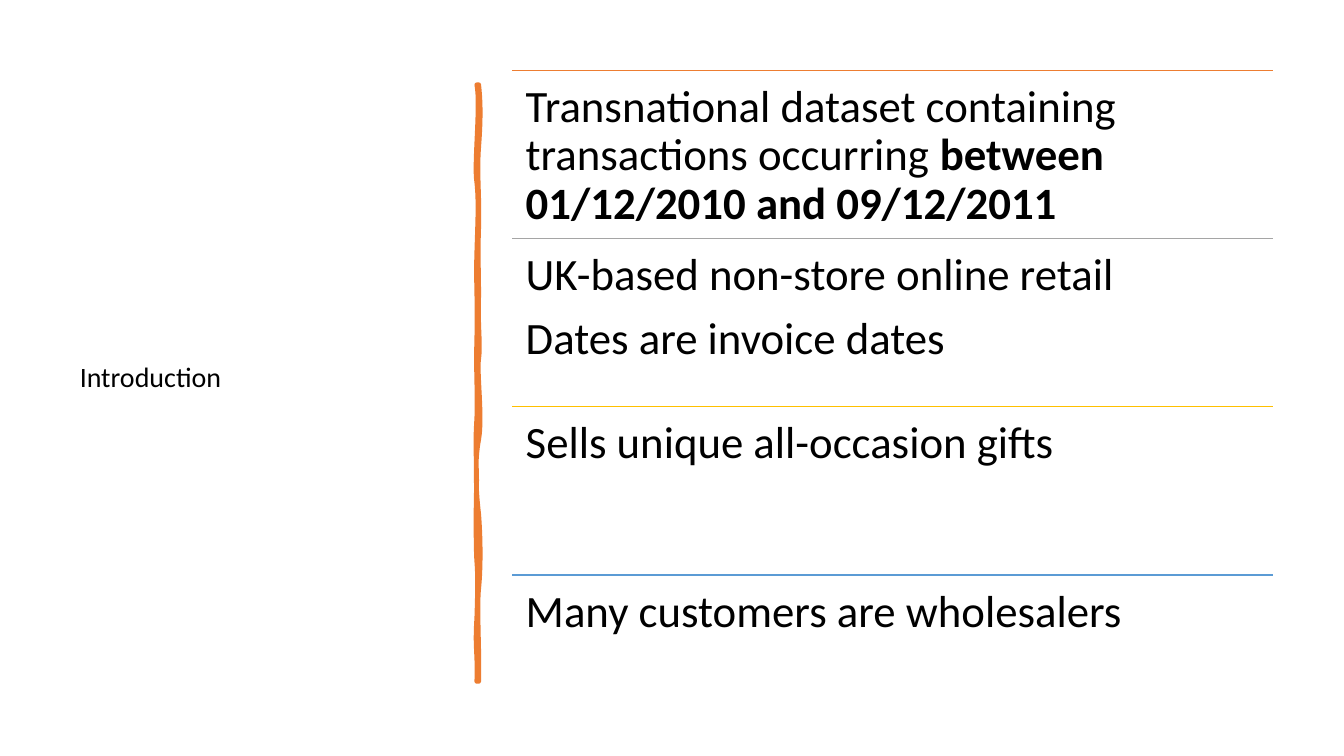
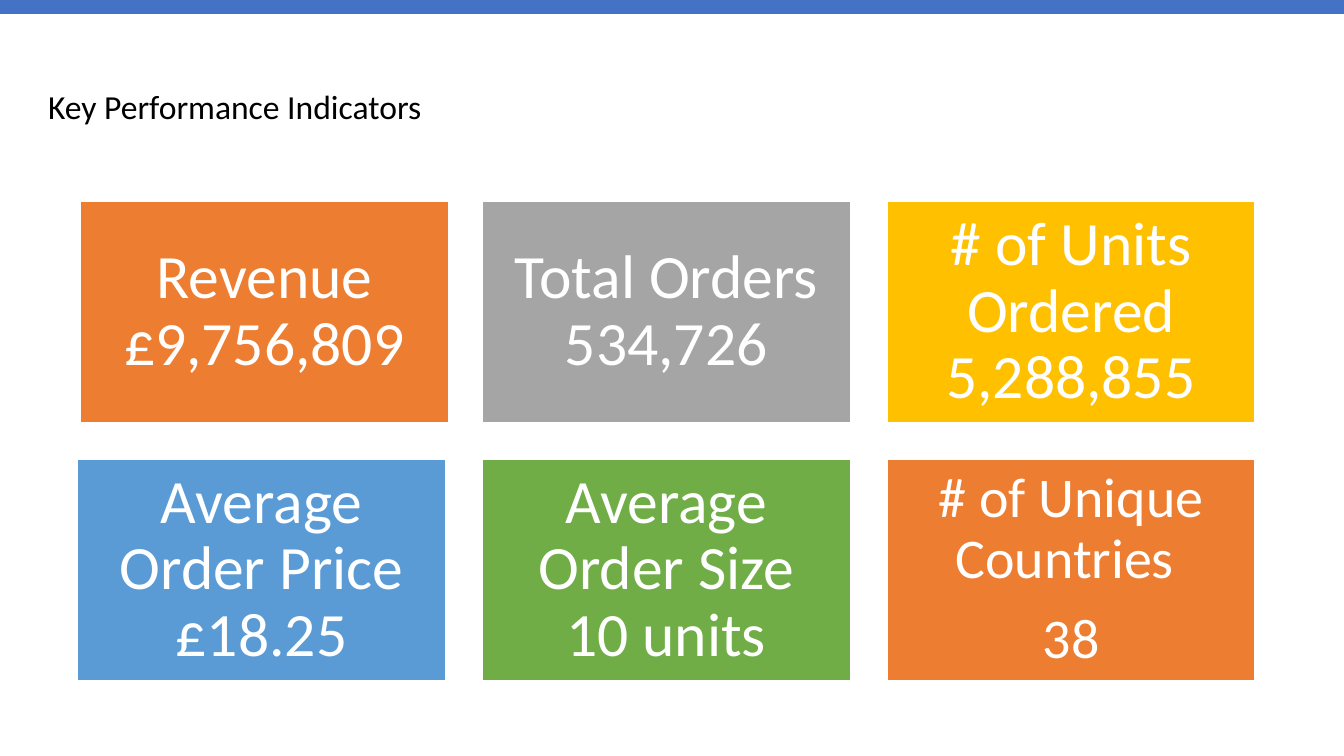
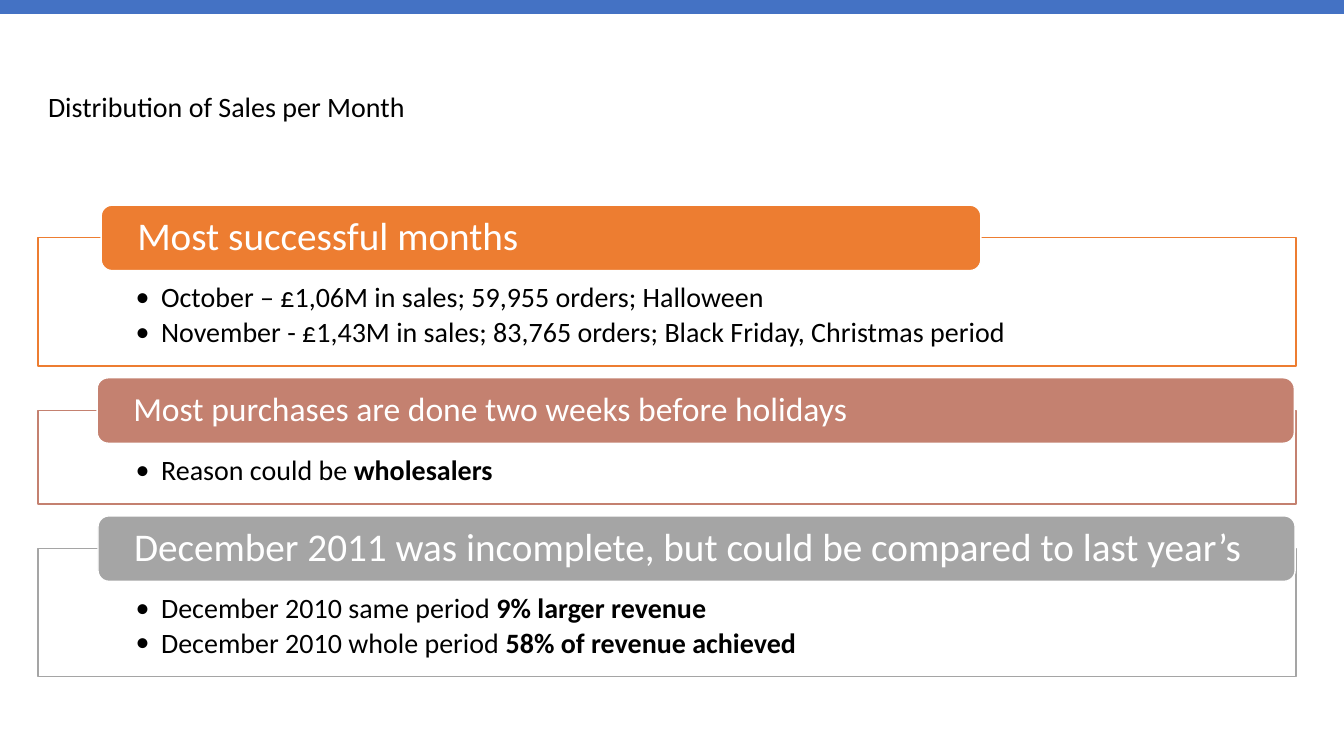
from dataclasses import dataclass

from lxml import etree
from pptx import Presentation
from pptx import util as u
from pptx.dml.color import RGBColor
from pptx.enum import shapes, text
from pptx.oxml import ns

Cm, Pt = u.Cm, u.Pt


@dataclass(frozen=True)
class Theme:
    font: str = "Calibri"
    black: str = "000000"
    white: str = "FFFFFF"
    blue: str = "4472C4"
    orange: str = "ED7D31"
    grey: str = "A5A5A5"
    gold: str = "FFC000"
    sky: str = "5B9BD5"
    green: str = "70AD47"
    rose: str = "C48170"
    small: int = 20
    medium: int = 24
    heading: int = 28
    fact: int = 32
    tile_small: int = 40
    tile: int = 44
    rule: float = 1
    brush: float = 3.25


T = Theme()
WIDTH, HEIGHT = 33.87, 19.05
SIDE_TITLE = (1.76, 1.78, 9.5, 15.52)
TOP_TITLE = (0.96, 0.89, 31.7, 3.68)

FACTS = [
    (T.orange, ["Transnational dataset containing transactions occurring "
                "**between 01/12/2010 and 09/12/2011**"]),
    (T.grey, ["UK-based non-store online retail", "Dates are invoice dates"]),
    (T.gold, ["Sells unique all-occasion gifts"]),
    (T.sky, ["Many customers are wholesalers"]),
]

KPIS = [
    (["Revenue £9,756,809"], T.orange, T.tile, 0.07),
    (["Total Orders 534,726"], T.grey, T.tile, 0),
    (["# of Units Ordered 5,288,855"], T.gold, T.tile, 0),
    (["Average Order Price £18.25"], T.sky, T.tile, 0),
    (["Average Order Size 10 units"], T.green, T.tile, 0),
    (["# of Unique Countries ", "38"], T.orange, T.tile_small, 0),
]

FINDINGS = [
    ("Most successful months", T.orange, T.heading, 2.55, 22.17,
     ["October – £1,06M in sales; 59,955 orders; Halloween",
      "November - £1,43M in sales; 83,765 orders; Black Friday, Christmas period"]),
    ("Most purchases are done two weeks before holidays", T.rose, T.medium, 2.45, 30.17,
     ["Reason could be **wholesalers**"]),
    ("December 2011 was incomplete, but could be compared to last year’s",
     T.grey, T.heading, 2.47, 30.17,
     ["December 2010 same period **9% larger revenue**",
      "December 2010 whole period **58% of revenue achieved**"]),
]

BRUSH_UNIT = 0.0254
BRUSH_START = (475, 84)
BRUSH_CURVES = [
    ((477, 102), (477, 119), (475, 146)),
    ((473, 173), (476, 195), (475, 226)),
    ((474, 257), (475, 262), (475, 294)),
    ((474, 325), (477, 342), (475, 356)),
    ((473, 370), (479, 414), (475, 436)),
    ((471, 457), (472, 484), (475, 510)),
    ((477, 536), (477, 564), (475, 584)),
    ((473, 603), (476, 650), (475, 676)),
    ((474, 676), (473, 676), (473, 676)),
    ((474, 646), (471, 644), (473, 613)),
    ((474, 583), (474, 570), (473, 557)),
    ((472, 544), (472, 495), (473, 477)),
    ((473, 459), (471, 445), (473, 415)),
    ((474, 386), (472, 373), (473, 335)),
    ((474, 298), (472, 281), (473, 250)),
    ((474, 218), (475, 200), (473, 181)),
    ((470, 163), (477, 104), (473, 84)),
    ((474, 84), (474, 84), (475, 84)),
]


def rgb(value):
    return RGBColor.from_string(value)


def box(at):
    return [Cm(v) for v in at]


def paint(sp, fill, line=None, width=T.rule):
    sp.shadow.inherit = False
    sp.fill.solid()
    sp.fill.fore_color.rgb = rgb(fill)
    if line:
        sp.line.color.rgb = rgb(line)
        sp.line.width = Pt(width)
    else:
        sp.line.fill.background()


def write(sp, lines, size, color, after=0.35, insets=(0.25, 0.13, 0.25, 0.13),
          anchor=text.MSO_ANCHOR.MIDDLE, align=text.PP_ALIGN.LEFT, bullet=False):
    tf = sp.text_frame
    tf.word_wrap = True
    tf.auto_size = text.MSO_AUTO_SIZE.NONE
    tf.vertical_anchor = anchor
    tf.margin_left, tf.margin_top, tf.margin_right, tf.margin_bottom = box(insets)
    for i, line in enumerate(lines):
        p = tf.paragraphs[0] if i == 0 else tf.add_paragraph()
        p.alignment = align
        p.line_spacing = 0.9
        p.space_after = Pt(size * after)
        if bullet:
            props = p._p.get_or_add_pPr()
            props.set("marL", str(Cm(0.64)))
            props.set("indent", str(-Cm(0.64)))
            etree.SubElement(props, ns.qn("a:buFont"), typeface=T.font)
            etree.SubElement(props, ns.qn("a:buChar"), char="•")
        p.font.name = T.font
        p.font.size = Pt(size)
        p.font.color.rgb = rgb(color)
        for j, part in enumerate(line.split("**")):
            if part:
                r = p.add_run()
                r.text = part
                if j % 2:
                    r.font.bold = True


def add_box(s, at, fill, line=None, kind=shapes.MSO_SHAPE.RECTANGLE):
    sp = s.shapes.add_shape(kind, *box(at))
    paint(sp, fill, line)
    return sp


def add_rule(s, x, y, width, color):
    line = s.shapes.add_connector(shapes.MSO_CONNECTOR.STRAIGHT,
                                  *box((x, y, x + width, y)))
    line.line.color.rgb = rgb(color)
    line.line.width = Pt(T.rule)
    etree.SubElement(line._element.spPr, ns.qn("a:effectLst"))


def add_brush(s):
    builder = s.shapes.build_freeform(*BRUSH_START, scale=Cm(BRUSH_UNIT))
    builder.add_line_segments([pt for curve in BRUSH_CURVES for pt in curve],
                              close=True)
    sp = builder.convert_to_shape()
    segments = list(sp._element.iter(ns.qn("a:lnTo")))
    for i in range(0, len(segments), 3):
        curve = etree.Element(ns.qn("a:cubicBezTo"))
        segments[i].addprevious(curve)
        for segment in segments[i:i + 3]:
            curve.append(segment[0])
            segment.getparent().remove(segment)
    paint(sp, T.orange, T.orange, T.brush)


def new_slide(prs, title, size, at=TOP_TITLE, band=True):
    s = prs.slides.add_slide(prs.slide_layouts.get_by_name("Title Only"))
    sp = s.shapes.title
    sp.left, sp.top, sp.width, sp.height = box(at)
    write(sp, [title], size, T.black, after=0)
    if band:
        add_box(s, (0, 0, WIDTH, 0.35), T.blue)
    return s


def introduction(prs):
    s = new_slide(prs, "Introduction", T.small, SIDE_TITLE, band=False)
    add_brush(s)
    x, top, width, pitch = 12.91, 1.77, 19.17, 4.24
    for i, (color, lines) in enumerate(FACTS):
        y = top + i * pitch
        add_rule(s, x, y, width, color)
        sp = s.shapes.add_textbox(*box((x, y, width, pitch)))
        write(sp, lines, T.fact, T.black, insets=(0.34,) * 4,
              anchor=text.MSO_ANCHOR.TOP)


def indicators(prs):
    s = new_slide(prs, "Key Performance Indicators", T.medium)
    left, top, width, height, gap = 1.96, 5.08, 9.27, 5.57, 0.93
    for i, (lines, color, size, shift) in enumerate(KPIS):
        row, col = divmod(i, 3)
        at = (left + col * (width + gap) + shift, top + row * (height + gap),
              width, height)
        write(add_box(s, at, color, T.white), lines, size, T.white,
              insets=(0.45,) * 4, align=text.PP_ALIGN.CENTER)


def monthly_sales(prs):
    s = new_slide(prs, "Distribution of Sales per Month", T.small)
    left, y, width, gap = 0.96, 5.99, 31.7, 1.12
    tag_height, tag_rise = 1.65, 0.82
    for heading, color, size, tag_left, tag_width, lines in FINDINGS:
        height = 1.49 + 0.87 * len(lines)
        frame = add_box(s, (left, y, width, height), T.white, color)
        write(frame, lines, T.small, T.black, after=0.15, bullet=True,
              insets=(2.46, 1.16, 2.46, 0.41), anchor=text.MSO_ANCHOR.TOP)
        tag = add_box(s, (tag_left, y - tag_rise, tag_width, tag_height), color,
                      T.white, shapes.MSO_SHAPE.ROUNDED_RECTANGLE)
        write(tag, [heading], size, T.white, insets=(0.83, 0, 0.83, 0))
        y += height + gap


def main():
    prs = Presentation()
    prs.slide_width, prs.slide_height = Cm(WIDTH), Cm(HEIGHT)
    introduction(prs)
    indicators(prs)
    monthly_sales(prs)
    prs.save("out.pptx")


if __name__ == "__main__":
    main()
